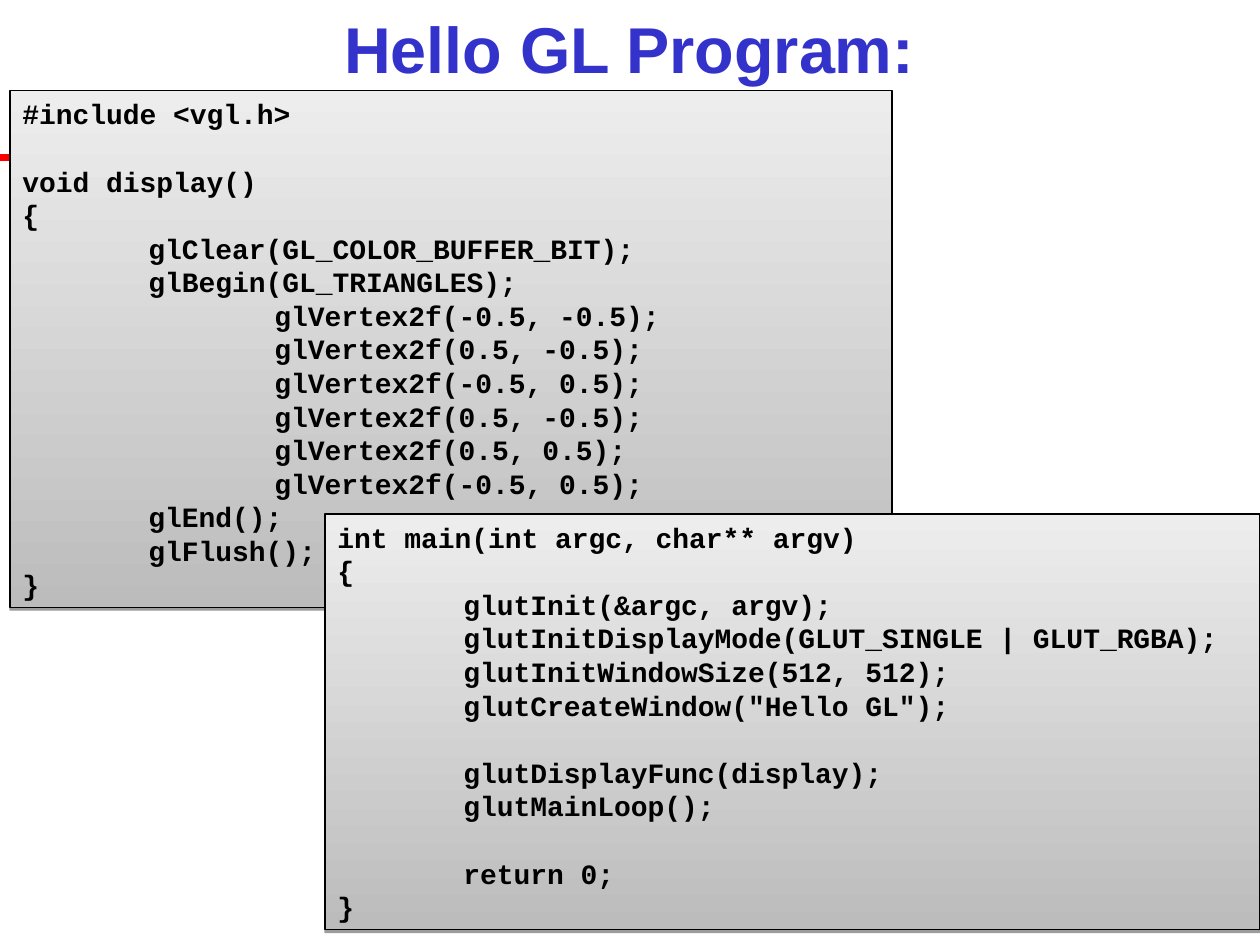
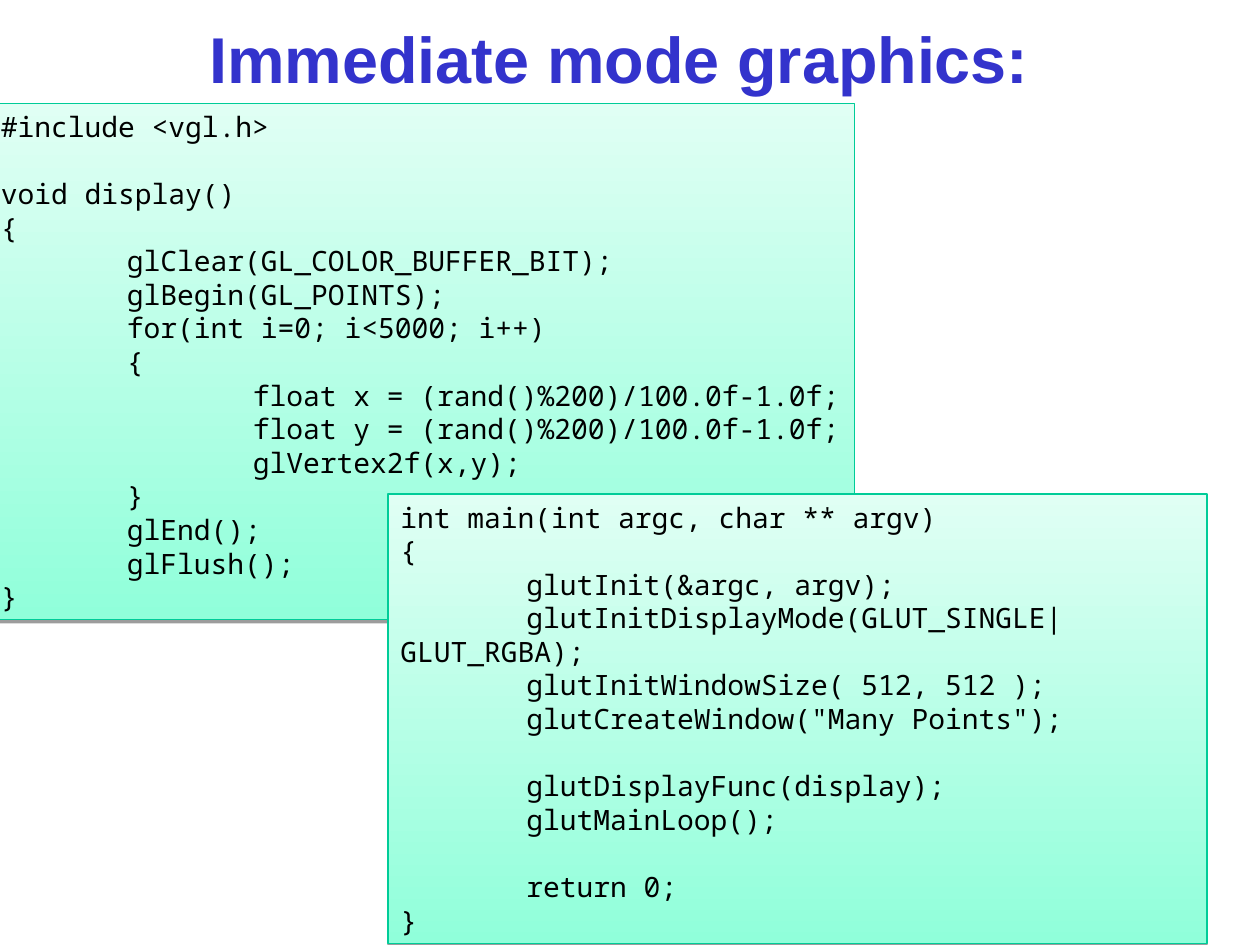
from dataclasses import dataclass

from lxml.etree import SubElement
from pptx import Presentation
from pptx.dml.color import RGBColor
from pptx.enum.shapes import MSO_CONNECTOR, MSO_SHAPE
from pptx.enum.text import MSO_ANCHOR, PP_ALIGN
from pptx.oxml.ns import qn
from pptx.slide import Slide
from pptx.util import Inches, Pt


@dataclass(frozen=True)
class Theme:
    title_color: RGBColor = RGBColor(0x33, 0x33, 0xCC)
    rule_color: RGBColor = RGBColor(0xFF, 0x00, 0x00)
    code_color: RGBColor = RGBColor(0x00, 0x00, 0x00)
    title_font: str = "Arial"
    title_size: Pt = Pt(37)
    code_size: Pt = Pt(16)
    code_pitch: Pt = Pt(19.2)
    rule_width: Pt = Pt(4)
    border_width: Pt = Pt(0.75)
    shadow_distance: Pt = Pt(1.6)
    tab_count: int = 8


THEME = Theme()


@dataclass(frozen=True)
class Box:
    left: float
    top: float
    width: float
    height: float

    def lengths(self) -> tuple[Inches, Inches, Inches, Inches]:
        return Inches(self.left), Inches(self.top), Inches(self.width), Inches(self.height)


@dataclass(frozen=True)
class PanelStyle:
    bottom_color: str
    top_color: str
    border_color: str
    font_name: str
    bold: bool


@dataclass(frozen=True)
class CodePanel:
    box: Box
    code: str
    wrap: bool = True


@dataclass(frozen=True)
class CodeSlide:
    title: str
    title_box: Box
    style: PanelStyle
    panels: tuple[CodePanel, ...]


GRAY = PanelStyle("BCBCBC", "EDEDED", "000000", "Courier New", True)
MINT = PanelStyle("90FFDA", "E0FFF4", "00CC98", "Noto Sans Mono", False)

TRIANGLES_DISPLAY = """#include <vgl.h>

void display()
{
\tglClear(GL_COLOR_BUFFER_BIT);
\tglBegin(GL_TRIANGLES);
\t\tglVertex2f(-0.5, -0.5);
\t\tglVertex2f(0.5, -0.5);
\t\tglVertex2f(-0.5, 0.5);
\t\tglVertex2f(0.5, -0.5);
\t\tglVertex2f(0.5, 0.5);
\t\tglVertex2f(-0.5, 0.5);
\tglEnd();
\tglFlush();
}"""

TRIANGLES_MAIN = """int main(int argc, char** argv)
{
\tglutInit(&argc, argv);
\tglutInitDisplayMode(GLUT_SINGLE | GLUT_RGBA);
\tglutInitWindowSize(512, 512);
\tglutCreateWindow("Hello GL");

\tglutDisplayFunc(display);
\tglutMainLoop();

\treturn 0;
}"""

POINTS_DISPLAY = """#include <vgl.h>

void display()
{
\tglClear(GL_COLOR_BUFFER_BIT);
\tglBegin(GL_POINTS);
\tfor(int i=0; i<5000; i++)
\t{
\t\tfloat x = (rand()%200)/100.0f-1.0f;
\t\tfloat y = (rand()%200)/100.0f-1.0f;
\t\tglVertex2f(x,y);
\t}
\tglEnd();
\tglFlush();
}"""

POINTS_MAIN = """int main(int argc, char ** argv)
{
\tglutInit(&argc, argv);
\tglutInitDisplayMode(GLUT_SINGLE|GLUT_RGBA);
\tglutInitWindowSize( 512, 512 );
\tglutCreateWindow("Many Points");

\tglutDisplayFunc(display);
\tglutMainLoop();

\treturn 0;
}"""

SLIDES = (
    CodeSlide("Hello GL Program:", Box(1.58, 0, 6.83, 0.75), GRAY, (
        CodePanel(Box(0.08, 0.72, 7, 4.1), TRIANGLES_DISPLAY),
        CodePanel(Box(2.58, 4.08, 7.42, 3.3), TRIANGLES_MAIN),
    )),
    CodeSlide("Immediate mode graphics:", Box(0, 0.08, 9.83, 0.75), MINT, (
        CodePanel(Box(-0.09, 0.82, 6.87, 4.1), POINTS_DISPLAY, wrap=False),
        CodePanel(Box(3.08, 3.92, 6.5, 3.57), POINTS_MAIN),
    )),
)


def add_rule(slide: Slide) -> None:
    rule = slide.shapes.add_connector(
        MSO_CONNECTOR.STRAIGHT, Inches(0), Inches(1.25), Inches(6.75), Inches(1.25))
    rule.line.color.rgb = THEME.rule_color
    rule.line.width = THEME.rule_width
    SubElement(rule._element.spPr, qn("a:effectLst"))


def add_title(slide: Slide, title: str, box: Box) -> None:
    frame = slide.shapes.add_textbox(*box.lengths()).text_frame
    frame.word_wrap = True
    frame.vertical_anchor = MSO_ANCHOR.MIDDLE
    paragraph = frame.paragraphs[0]
    paragraph.text = title
    paragraph.alignment = PP_ALIGN.CENTER
    font = paragraph.font
    font.name, font.size, font.bold = THEME.title_font, THEME.title_size, True
    font.color.rgb = THEME.title_color


def add_panel(slide: Slide, panel: CodePanel, style: PanelStyle) -> None:
    shape = slide.shapes.add_shape(MSO_SHAPE.RECTANGLE, *panel.box.lengths())
    shape.fill.gradient()
    shape.fill.gradient_angle = 90
    for stop, color in zip(shape.fill.gradient_stops, (style.bottom_color, style.top_color)):
        stop.color.rgb = RGBColor.from_string(color)
    shape.line.color.rgb = RGBColor.from_string(style.border_color)
    shape.line.width = THEME.border_width

    shape.shadow.inherit = False
    effects = shape._element.spPr.find(qn("a:effectLst"))
    shadow = SubElement(effects, qn("a:outerShdw"), blurRad="0",
                        dist=str(THEME.shadow_distance), dir="5400000", rotWithShape="0")
    shadow_color = SubElement(shadow, qn("a:srgbClr"), val="000000")
    SubElement(shadow_color, qn("a:alpha"), val="38000")

    frame = shape.text_frame
    frame.word_wrap = panel.wrap
    frame.vertical_anchor = MSO_ANCHOR.TOP
    blank_lines = 0
    paragraph = frame.paragraphs[0]
    for line in panel.code.splitlines():
        if not line:
            blank_lines += 1
            continue
        if paragraph.text:
            paragraph = frame.add_paragraph()
        paragraph.text = line
        paragraph.alignment = PP_ALIGN.LEFT
        paragraph.line_spacing = THEME.code_pitch
        if blank_lines:
            paragraph.space_before = THEME.code_pitch * blank_lines
            blank_lines = 0
        tabs = SubElement(paragraph._p.get_or_add_pPr(), qn("a:tabLst"))
        for position in range(THEME.tab_count):
            SubElement(tabs, qn("a:tab"), pos=str(Inches(position)), algn="l")
        font = paragraph.font
        font.name, font.size, font.bold = style.font_name, THEME.code_size, style.bold
        font.color.rgb = THEME.code_color


def main() -> None:
    presentation = Presentation()
    presentation.slide_width, presentation.slide_height = Inches(10), Inches(7.5)
    for content in SLIDES:
        slide = presentation.slides.add_slide(presentation.slide_layouts[6])
        add_rule(slide)
        add_title(slide, content.title, content.title_box)
        for panel in content.panels:
            add_panel(slide, panel, content.style)
    presentation.save("out.pptx")


if __name__ == "__main__":
    main()
